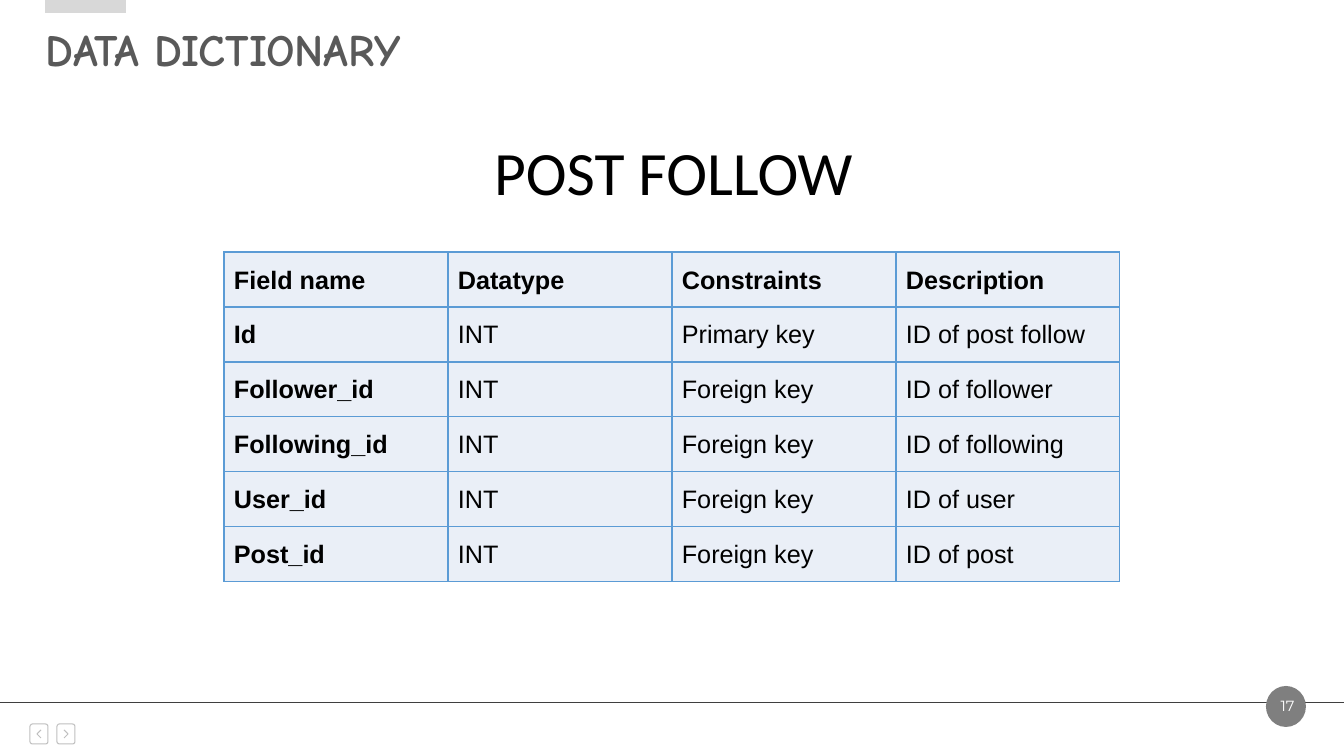
from lxml import etree
from pptx import Presentation
from pptx.dml.color import RGBColor
from pptx.enum.shapes import MSO_CONNECTOR, MSO_SHAPE
from pptx.enum.text import MSO_ANCHOR, PP_ALIGN
from pptx.oxml.ns import qn
from pptx.util import Pt

PX = 914400 / 100.8
PAGE_WIDTH, PAGE_HEIGHT = 1344, 756
RECTANGLE, OVAL = MSO_SHAPE.RECTANGLE, MSO_SHAPE.OVAL
ROUNDED = MSO_SHAPE.ROUNDED_RECTANGLE
STRAIGHT = MSO_CONNECTOR.STRAIGHT
TOP, MIDDLE, BOTTOM = MSO_ANCHOR.TOP, MSO_ANCHOR.MIDDLE, MSO_ANCHOR.BOTTOM
LEFT, CENTER = PP_ALIGN.LEFT, PP_ALIGN.CENTER

COLORS = {
    "title": "595959",
    "tab": "D8D8D8",
    "text": "000000",
    "cell": "EAEFF7",
    "border": "5B9BD5",
    "rule": "3F3F3F",
    "badge": "7F7F7F",
    "number": "FFFFFF",
    "arrow": "BFBFBF",
}

FIELDS = [
    ("Field name", "Datatype", "Constraints", "Description"),
    ("Id", "INT", "Primary key", "ID of post follow"),
    ("Follower_id", "INT", "Foreign key", "ID of follower"),
    ("Following_id", "INT", "Foreign key", "ID of following"),
    ("User_id", "INT", "Foreign key", "ID of user"),
    ("Post_id", "INT", "Foreign key", "ID of post"),
]


def px(*lengths):
    return [round(length * PX) for length in lengths]


def color(name):
    return RGBColor.from_string(COLORS[name])


def style_font(para, face, size, color_name, bold=False):
    font = para.font
    font.name, font.size, font.bold = face, Pt(size), bold
    font.color.rgb = color(color_name)


def add_text(page, box, text, face, size, color_name, bold=False, align=LEFT, anchor=TOP):
    frame = page.shapes.add_textbox(*px(*box)).text_frame
    frame.word_wrap = True
    frame.vertical_anchor = anchor
    para = frame.paragraphs[0]
    para.text = text
    para.alignment = align
    style_font(para, face, size, color_name, bold)


def add_filled(page, kind, box, color_name):
    shape = page.shapes.add_shape(kind, *px(*box))
    shape.shadow.inherit = False
    shape.fill.solid()
    shape.fill.fore_color.rgb = color(color_name)
    shape.line.fill.background()


def outline(shape, color_name):
    shape.shadow.inherit = False
    shape.fill.background()
    shape.line.color.rgb = color(color_name)
    shape.line.width = Pt(0.75)


def add_header(page, box):
    left, top, width, height = box
    add_text(page, (left, top + 16, width, height - 16), "DATA DICTIONARY",
             "Comic Neue", 32, "title", bold=True, anchor=MIDDLE)
    add_filled(page, RECTANGLE, (left + 9, top, 81, 13), "tab")


def add_borders(cell):
    properties = cell._tc.get_or_add_tcPr()
    for position, side in enumerate(("a:lnL", "a:lnR", "a:lnT", "a:lnB")):
        line = etree.Element(qn(side), w=str(Pt(1)))
        fill = etree.SubElement(line, qn("a:solidFill"))
        etree.SubElement(fill, qn("a:srgbClr"), val=COLORS["border"])
        properties.insert(position, line)


def add_field_table(page, box):
    row_count, column_count = len(FIELDS), len(FIELDS[0])
    table = page.shapes.add_table(row_count, column_count, *px(*box)).table
    for row_index, values in enumerate(FIELDS):
        for column_index, value in enumerate(values):
            cell = table.cell(row_index, column_index)
            cell.margin_left, cell.margin_right, cell.margin_top, cell.margin_bottom = px(10, 10, 10, 10)
            cell.fill.solid()
            cell.fill.fore_color.rgb = color("cell")
            para = cell.text_frame.paragraphs[0]
            para.text = value
            para.line_spacing = 1.15
            style_font(para, "Arial", 18, "text", bold=row_index == 0 or column_index == 0)
            add_borders(cell)


def add_arrow_button(page, box, direction):
    left, top, width, height = box
    button = page.shapes.add_shape(ROUNDED, *px(*box))
    button.adjustments[0] = 0.14
    outline(button, "arrow")
    center_x, center_y = left + width / 2, top + height / 2
    tip, back = center_x + 2 * direction, center_x - 2 * direction
    builder = page.shapes.build_freeform(back, center_y - 4, scale=PX)
    builder.add_line_segments([(tip, center_y), (back, center_y + 4)], close=False)
    outline(builder.convert_to_shape(), "arrow")


def add_footer(page, box):
    left, top, width, height = box
    for button_index, direction in enumerate((-1, 1)):
        add_arrow_button(page, (left + 30 + 27 * button_index, top + 38, 18, 20), direction)
    rule_y = top + 17
    rule = page.shapes.add_connector(STRAIGHT, *px(left, rule_y, left + width, rule_y))
    rule.line.color.rgb = color("rule")
    rule.line.width = Pt(0.75)
    etree.SubElement(rule._element.spPr, qn("a:effectLst"))
    right = left + width
    add_filled(page, OVAL, (right - 78, top, 40, 41), "badge")
    add_text(page, (right - 81, top + 5, 49, 28), "17", "Montserrat", 10.5,
             "number", align=CENTER, anchor=BOTTOM)


def main():
    deck = Presentation()
    deck.slide_width, deck.slide_height = px(PAGE_WIDTH, PAGE_HEIGHT)
    page = deck.slides.add_slide(deck.slide_layouts[6])
    add_footer(page, (0, 686, PAGE_WIDTH, 70))
    add_header(page, (36, 0, 832, 81))
    add_field_table(page, (224, 252, 896, 330))
    add_text(page, (227, 129, 893, 85), "POST FOLLOW", "Calibri", 44, "text", align=CENTER)
    deck.save("out.pptx")


if __name__ == "__main__":
    main()
